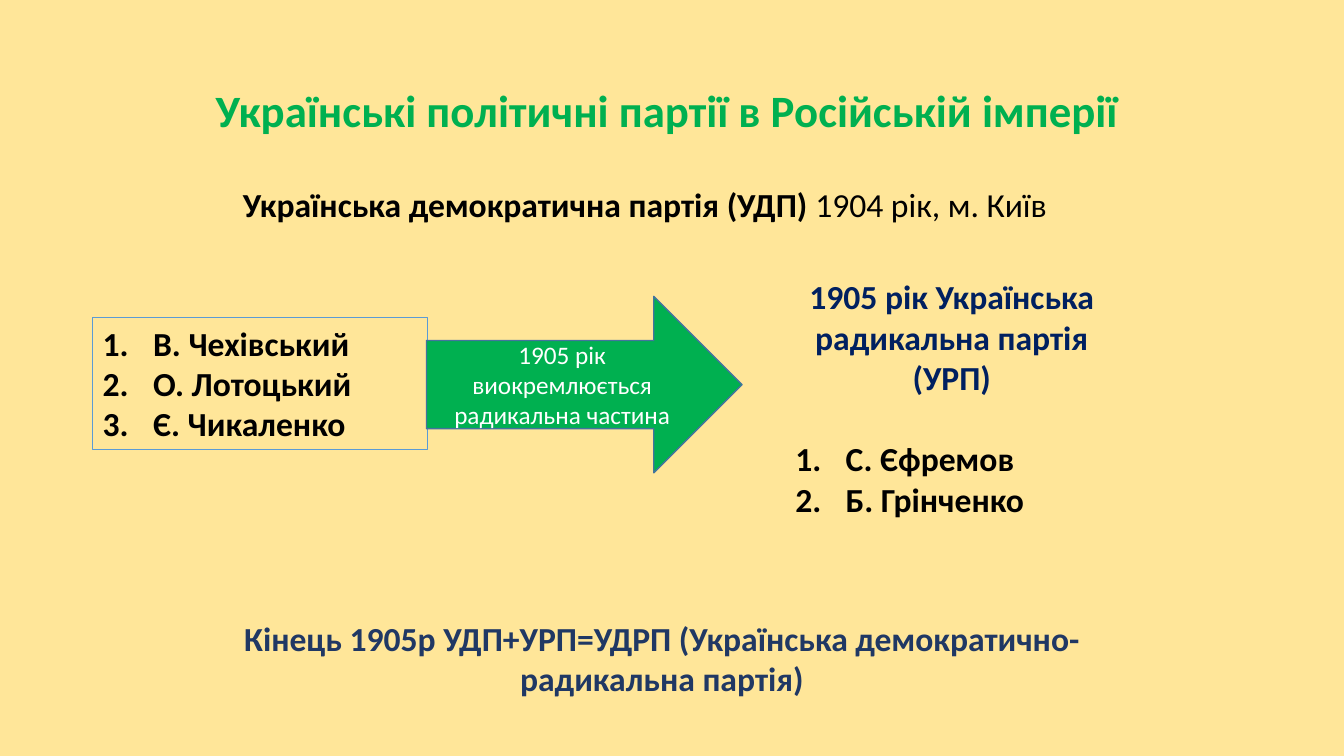
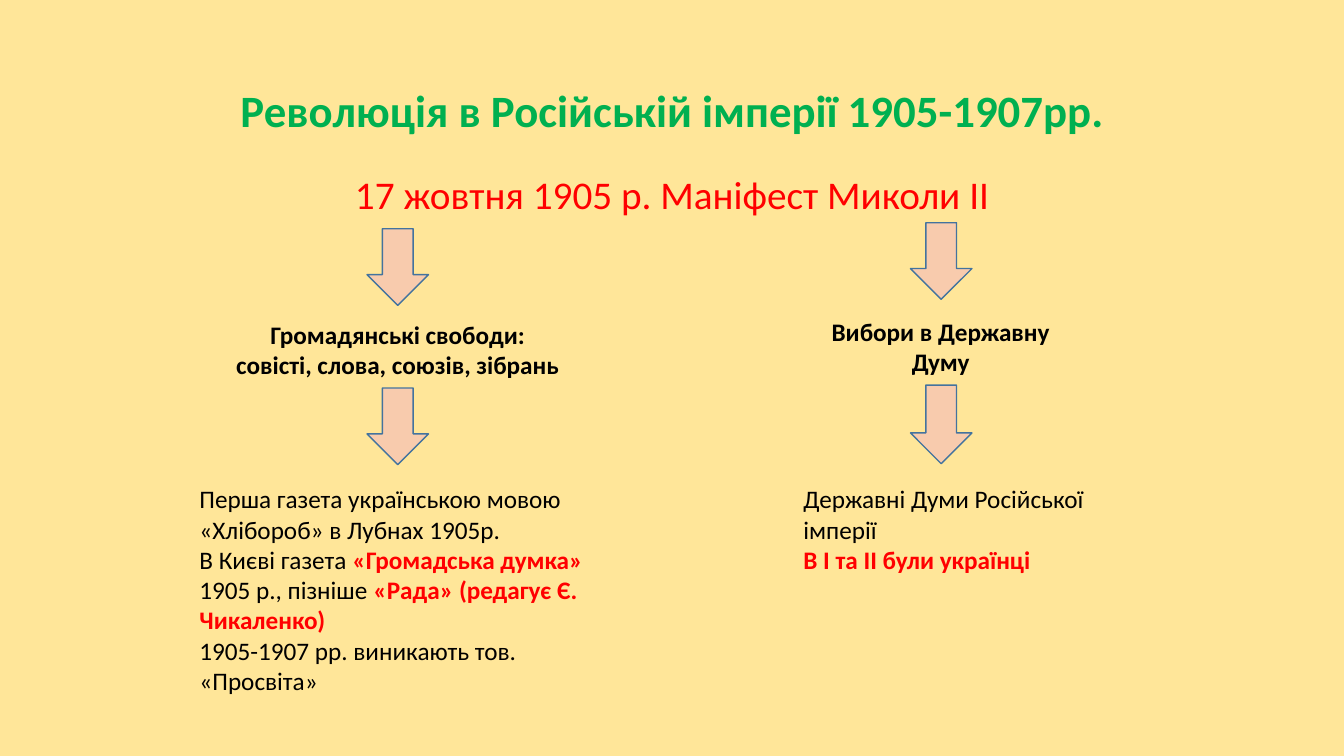
from typing import NamedTuple, Optional

from lxml.etree import SubElement
from pptx import Presentation
from pptx.dml.color import RGBColor
from pptx.enum.shapes import MSO_SHAPE
from pptx.enum.text import MSO_ANCHOR, PP_ALIGN
from pptx.oxml.ns import qn
from pptx.util import Inches, Pt

FONT = "Calibri"
SAND, GREEN, RED, BLACK, WHITE = "FFE699", "00B050", "FF0000", "000000", "FFFFFF"
NAVY, INDIGO, PEACH = "002060", "203864", "F8CBAD"
EDGE, FRAME = "43739E", "5B9BD5"
LEFT, MID, EVEN = PP_ALIGN.LEFT, PP_ALIGN.CENTER, PP_ALIGN.JUSTIFY


class Box(NamedTuple):
    left: float
    top: float
    width: float
    height: float


class Span(NamedTuple):
    text: str
    color: str = BLACK
    bold: bool = False


class Para(NamedTuple):
    spans: list[Span]
    align: PP_ALIGN = LEFT
    listed: bool = False
    before: float = 0
    spacing: float = 1.0


class Column(NamedTuple):
    arrows: list[Box]
    head: str
    head_box: Box
    body: list[Para]
    body_box: Box


TITLE = Box(0.92, 0.4, 11.5, 1.45)


def rgb(color: str) -> RGBColor:
    return RGBColor.from_string(color)


def place(box: Box) -> list:
    return [Inches(side) for side in box]


def number(para) -> None:
    """Give the paragraph a hanging automatic number."""
    props = para._p.get_or_add_pPr()
    props.set("marL", str(Inches(0.5)))
    props.set("indent", str(Inches(-0.5)))
    SubElement(props, qn("a:buFont"), typeface="+mj-lt")
    SubElement(props, qn("a:buAutoNum"), type="arabicPeriod")


def write(frame, paras: list[Para], size: float, anchor=MSO_ANCHOR.TOP) -> None:
    frame.word_wrap = True
    frame.vertical_anchor = anchor
    for index, item in enumerate(paras):
        para = frame.add_paragraph() if index else frame.paragraphs[0]
        if item.listed:
            number(para)
        para.alignment = item.align
        para.line_spacing = item.spacing
        para.space_before = Pt(item.before)
        for span in item.spans:
            run = para.add_run()
            run.text = span.text
            run.font.name = FONT
            run.font.size = Pt(size)
            run.font.bold = span.bold
            run.font.color.rgb = rgb(span.color)


def add_text(slide, box: Box, paras: list[Para], size: float, anchor=MSO_ANCHOR.TOP) -> None:
    write(slide.shapes.add_textbox(*place(box)).text_frame, paras, size, anchor)


def add_form(slide, kind: MSO_SHAPE, box: Box, fill: Optional[str], line: str, width: float = 1):
    form = slide.shapes.add_shape(kind, *place(box))
    form.shadow.inherit = False
    if fill:
        form.fill.solid()
        form.fill.fore_color.rgb = rgb(fill)
    else:
        form.fill.background()
    form.line.color.rgb = rgb(line)
    form.line.width = Pt(width)
    return form


def names(people: list[str], align: PP_ALIGN = LEFT, gap: float = 0) -> list[Para]:
    """Number the people, with a gap above the first."""
    return [Para([Span(name, bold=True)], align, True, 0 if index else gap)
            for index, name in enumerate(people)]


def center(text: str, color: str = BLACK, bold: bool = True) -> list[Para]:
    return [Para([Span(text, color, bold)], MID)]


def new_slide(deck, title: str):
    slide = deck.slides.add_slide(deck.slide_layouts[6])
    para = Para([Span(title, GREEN, True)], MID, spacing=0.9)
    add_text(slide, TITLE, [para], 32, MSO_ANCHOR.MIDDLE)
    return slide


def add_parties(deck) -> None:
    slide = new_slide(deck, "Українські політичні партії в Російській імперії ")
    party = Para([Span("Українська демократична партія (УДП) ", bold=True),
                  Span("1904 рік, м. Київ")])
    add_text(slide, Box(2.31, 1.78, 10.11, 0.91), [party], 24)

    board = add_form(slide, MSO_SHAPE.RECTANGLE, Box(0.92, 3.15, 3.32, 1.31), None, FRAME, 0.75)
    write(board.text_frame, names(["В. Чехівський", "О. Лотоцький", "Є. Чикаленко"]), 24)

    split = add_form(slide, MSO_SHAPE.RIGHT_ARROW, Box(4.23, 2.94, 3.13, 1.75), GREEN, EDGE)
    write(split.text_frame, center("1905 рік виокремлюється радикальна частина", WHITE, False),
          18, MSO_ANCHOR.MIDDLE)

    radical = center("1905 рік Українська радикальна партія (УРП)", NAVY)
    radical += names(["С. Єфремов", "Б. Грінченко"], EVEN, 29.3)
    add_text(slide, Box(7.79, 2.69, 3.3, 2.93), radical, 24)
    union = "Кінець 1905р УДП+УРП=УДРП (Українська демократично-радикальна партія)"
    add_text(slide, Box(2.04, 6.08, 9.05, 0.91), center(union, INDIGO), 24)


def add_revolt(deck) -> None:
    slide = new_slide(deck, "Революція в Російській імперії 1905-1907рр.")
    add_text(slide, Box(1.55, 1.64, 10.23, 0.57),
             center("17 жовтня 1905 р. Маніфест Миколи ІІ", RED, False), 28)
    press = [
        Para([Span("Перша газета українською мовою «Хлібороб» в Лубнах 1905р.")]),
        Para([Span("В Києві газета "), Span("«Громадська думка» ", RED, True),
              Span("1905 р., пізніше "), Span("«Рада» (редагує Є. Чикаленко)", RED, True)]),
        Para([Span("1905-1907 рр. виникають тов. «Просвіта»")]),
    ]
    duma = [Para([Span("Державні Думи Російської імперії")]),
            Para([Span("В І та ІІ були українці", RED, True)])]
    columns = [
        Column([Box(3.64, 2.27, 0.61, 0.76), Box(3.64, 3.85, 0.61, 0.76)],
               "Громадянські свободи: совісті, слова, союзів, зібрань",
               Box(2.21, 3.12, 3.47, 0.71), press, Box(1.88, 4.75, 4.12, 2.22)),
        Column([Box(9.03, 2.21, 0.61, 0.76), Box(9.03, 3.82, 0.61, 0.78)],
               "Вибори в Державну Думу",
               Box(7.87, 3.09, 2.92, 0.71), duma, Box(7.87, 4.75, 3.19, 1.31)),
    ]
    for column in columns:
        for box in column.arrows:
            add_form(slide, MSO_SHAPE.DOWN_ARROW, box, PEACH, EDGE)
        add_text(slide, column.head_box, center(column.head), 18)
        add_text(slide, column.body_box, column.body, 18)


def main() -> None:
    deck = Presentation()
    deck.slide_width, deck.slide_height = Inches(13.33), Inches(7.5)
    back = deck.slide_master.background.fill
    back.solid()
    back.fore_color.rgb = rgb(SAND)
    add_parties(deck)
    add_revolt(deck)
    deck.save("out.pptx")


if __name__ == "__main__":
    main()
